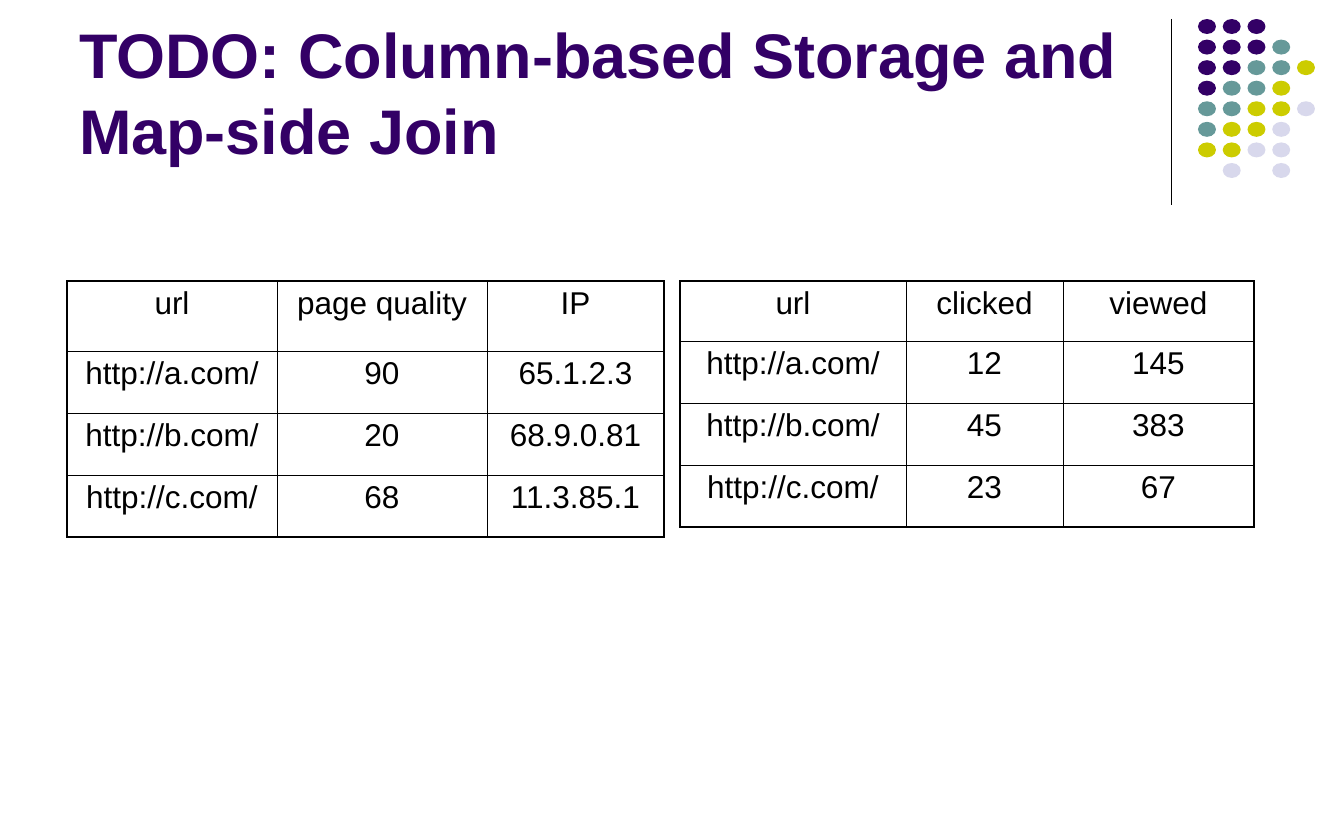
from dataclasses import dataclass

import pptx
import pptx.dml.color
import pptx.enum.shapes
import pptx.enum.text
import pptx.oxml
import pptx.oxml.ns
import pptx.util

SCALE = 914400 / 94.5
ALIGN = pptx.enum.text.PP_ALIGN
ANCHOR = pptx.enum.text.MSO_ANCHOR
SHAPE = pptx.enum.shapes.MSO_SHAPE


@dataclass(frozen=True)
class Theme:
    font: str = "Arial"
    purple: str = "330066"
    teal: str = "669999"
    olive: str = "CCCC00"
    lilac: str = "D8D8EC"
    black: str = "000000"
    white: str = "FFFFFF"
    title_size: int = 48
    cell_size: int = 24
    rule: float = 0.75
    outer_border: float = 1.08
    inner_border: float = 0.45
    cell_opacity: int = 50


THEME = Theme()

DOT_COLORS = {"P": THEME.purple, "T": THEME.teal, "Y": THEME.olive, "L": THEME.lilac}
DOT_ROWS = ["PPP", "PPPT", "PPTTY", "PTTY", "TTYYL", "TYYL", "YYLL", ".L.L"]

PAGES = [
    ["url", "page quality", "IP"],
    ["http://a.com/", "90", "65.1.2.3"],
    ["http://b.com/", "20", "68.9.0.81"],
    ["http://c.com/", "68", "11.3.85.1"],
]
CLICKS = [
    ["url", "clicked", "viewed"],
    ["http://a.com/", "12", "145"],
    ["http://b.com/", "45", "383"],
    ["http://c.com/", "23", "67"],
]


def px(n):
    return pptx.util.Emu(round(n * SCALE))


def rgb(color):
    return pptx.dml.color.RGBColor.from_string(color)


def write(tf, text, *, size, color, bold=False, align=ALIGN.LEFT):
    tf.word_wrap = True
    p = tf.paragraphs[0]
    p.alignment = align
    r = p.add_run()
    r.text = text
    r.font.name = THEME.font
    r.font.size = pptx.util.Pt(size)
    r.font.bold = bold
    r.font.color.rgb = rgb(color)


def set_title(s, text, left, top, width, height):
    sp = s.shapes.title
    sp.left, sp.top, sp.width, sp.height = map(px, (left, top, width, height))
    tf = sp.text_frame
    tf.auto_size = pptx.enum.text.MSO_AUTO_SIZE.NONE
    tf.vertical_anchor = ANCHOR.BOTTOM
    tf.margin_left = tf.margin_right = px(12)
    tf.margin_top = tf.margin_bottom = px(7)
    write(tf, text, size=THEME.title_size, color=THEME.purple, bold=True)


def add_rule(s, x, top, bottom):
    line = s.shapes.add_connector(
        pptx.enum.shapes.MSO_CONNECTOR.STRAIGHT, px(x), px(top), px(x), px(bottom)
    )
    line.line.color.rgb = rgb(THEME.black)
    line.line.width = pptx.util.Pt(THEME.rule)
    line._element.spPr.append(pptx.oxml.parse_xml(
        f'<a:effectLst {pptx.oxml.ns.nsdecls("a")}/>'))


def add_dots(s, left, top, span_x, span_y):
    group = s.shapes.add_group_shape()
    for row, codes in enumerate(DOT_ROWS):
        for col, code in enumerate(codes):
            if code not in DOT_COLORS:
                continue
            x = left + span_x * col / 4
            y = top + span_y * row / (len(DOT_ROWS) - 1)
            dot = group.shapes.add_shape(SHAPE.OVAL, px(x), px(y), px(18), px(15))
            dot.shadow.inherit = False
            dot.fill.solid()
            dot.fill.fore_color.rgb = rgb(DOT_COLORS[code])
            dot.line.fill.background()


def set_border(cell, side, width):
    cell._tc.get_or_add_tcPr().append(pptx.oxml.parse_xml(
        f'<a:ln{side} {pptx.oxml.ns.nsdecls("a")} w="{pptx.util.Pt(width)}">'
        f'<a:solidFill><a:srgbClr val="{THEME.black}"/></a:solidFill></a:ln{side}>'))


def format_cell(cell, text, outer):
    cell.margin_left = cell.margin_right = px(9)
    cell.margin_top = cell.margin_bottom = px(5)
    cell.vertical_anchor = ANCHOR.TOP
    for side in "LRTB":
        set_border(cell, side, THEME.outer_border if outer[side] else THEME.inner_border)
    cell.fill.solid()
    cell.fill.fore_color.rgb = rgb(THEME.white)
    color = cell._tc.tcPr.find(pptx.oxml.ns.qn("a:solidFill"))[0]
    color.append(pptx.oxml.parse_xml(
        f'<a:alpha {pptx.oxml.ns.nsdecls("a")} val="{THEME.cell_opacity * 1000}"/>'))
    write(cell.text_frame, text, size=THEME.cell_size, color=THEME.black,
          align=ALIGN.CENTER)


def add_table(s, data, left, top, widths, heights):
    table = s.shapes.add_table(
        len(heights), len(widths), px(left), px(top), px(sum(widths)), px(sum(heights))
    ).table
    table.first_row = table.horz_banding = False
    for column, width in zip(table.columns, widths):
        column.width = px(width)
    for row, height in zip(table.rows, heights):
        row.height = px(height)
    for i, values in enumerate(data):
        for j, text in enumerate(values):
            outer = {"L": j == 0, "R": j == len(widths) - 1,
                     "T": i == 0, "B": i == len(heights) - 1}
            format_cell(table.cell(i, j), text, outer)


def main():
    prs = pptx.Presentation()
    prs.slide_width, prs.slide_height = px(1344), px(840)
    s = prs.slides.add_slide(prs.slide_layouts.get_by_name("Title Only"))
    add_rule(s, 1171, 19, 205)
    add_dots(s, 1198, 19, 99, 144)
    set_title(s, "TODO: Column-based Storage and Map-side Join", 67, 15, 1109, 159)
    add_table(s, PAGES, 67, 281, [210, 210, 177], [70, 62, 62, 62])
    add_table(s, CLICKS, 680, 281, [226, 157, 191], [60, 62, 62, 62])
    prs.save("out.pptx")


if __name__ == "__main__":
    main()
